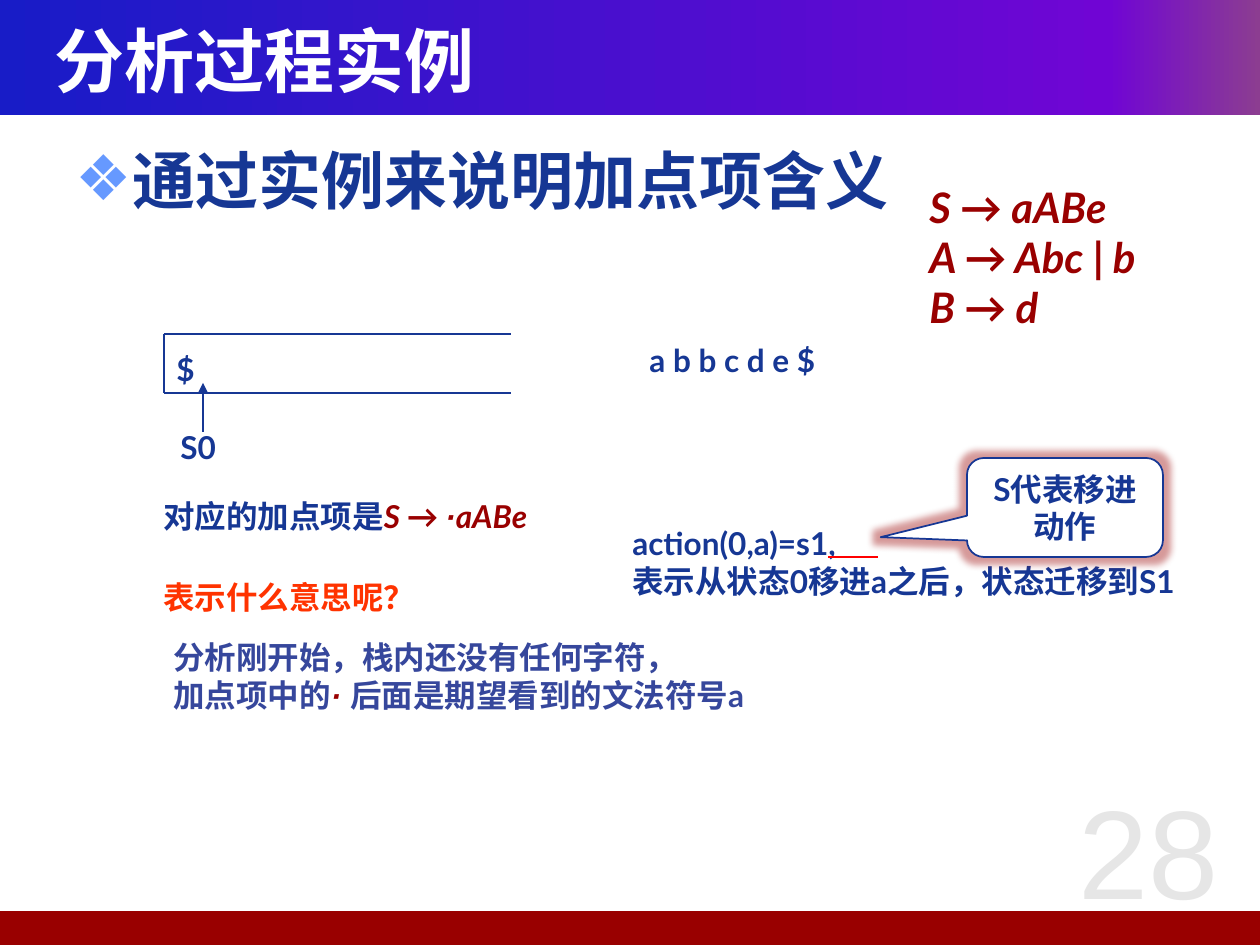
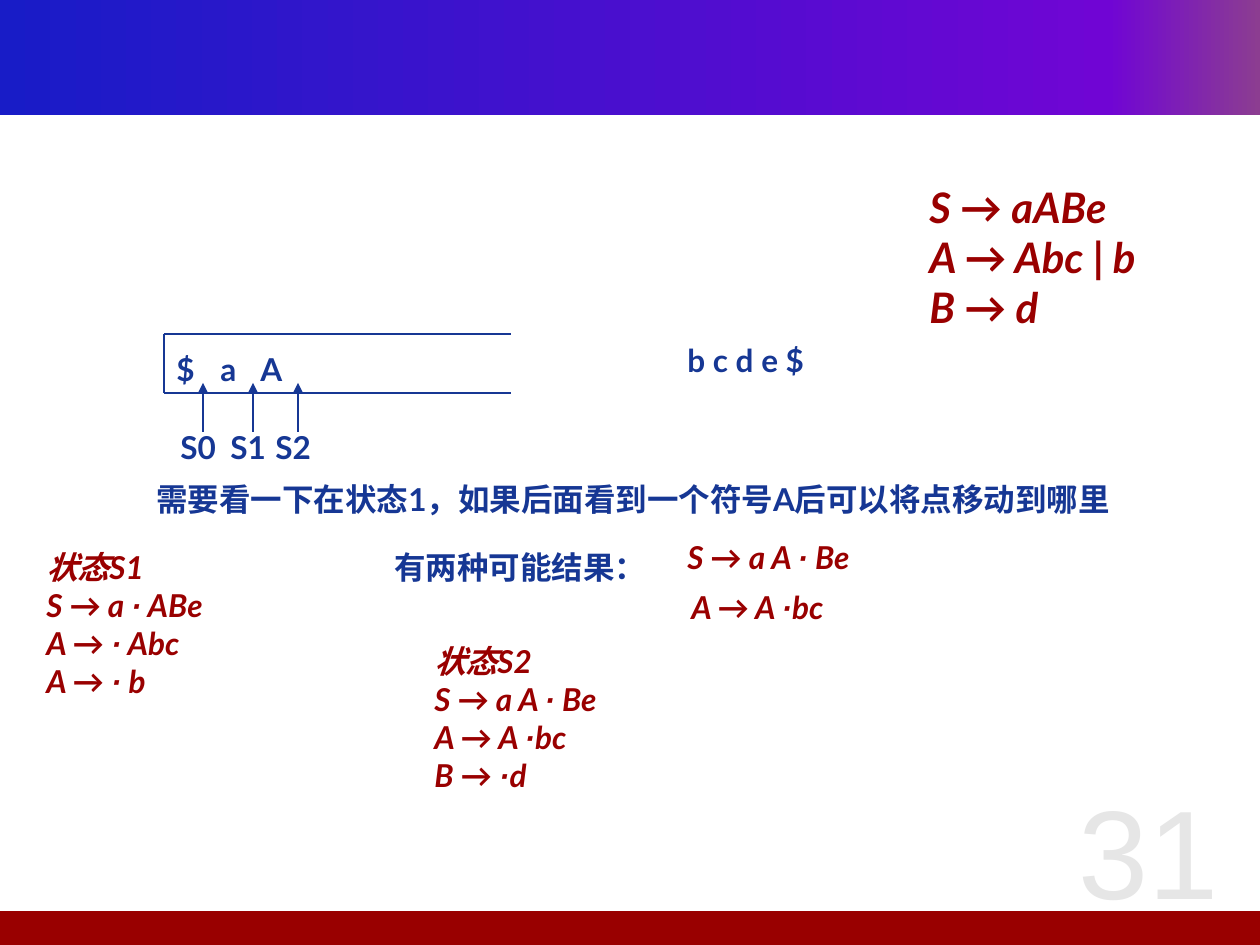
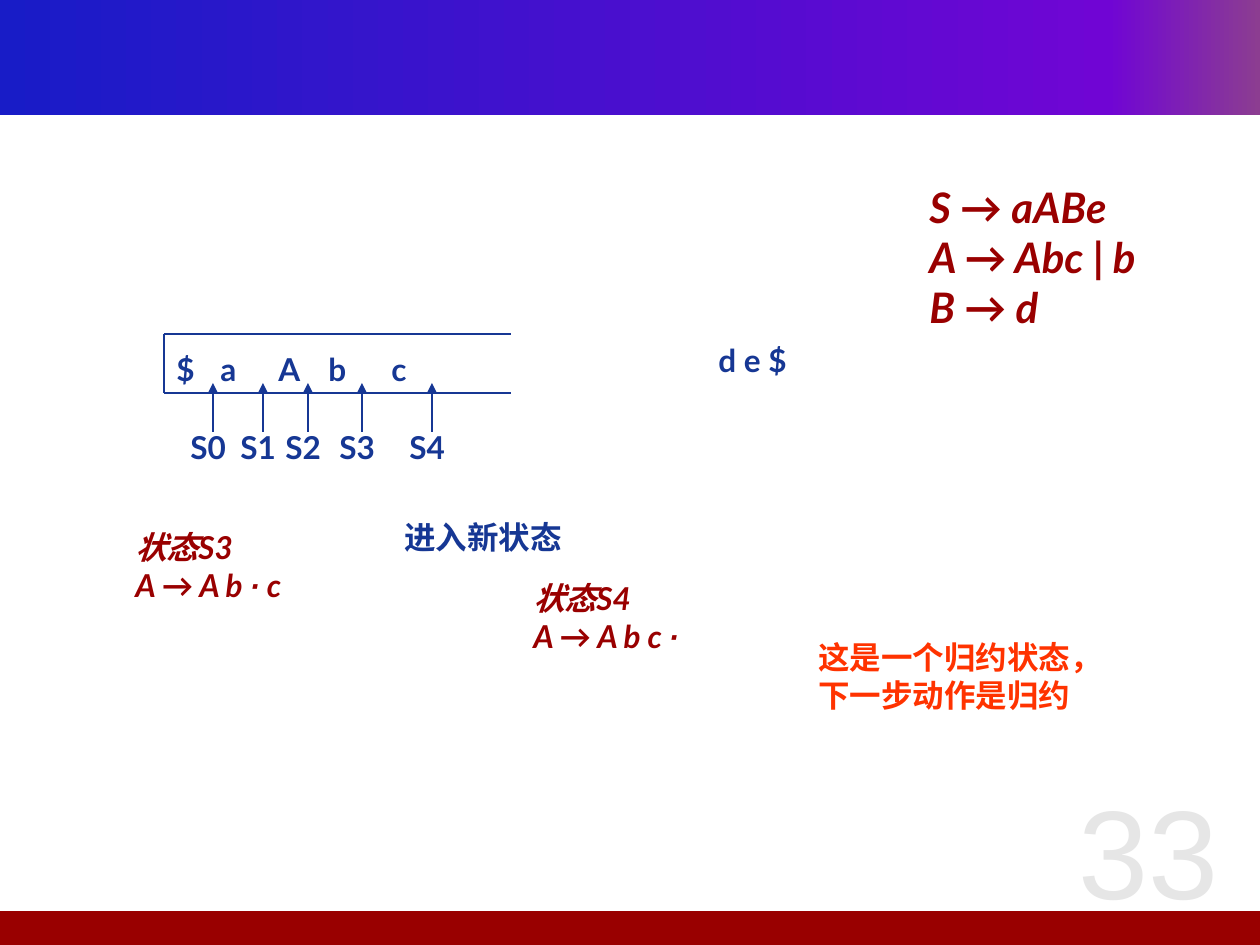
from copy import deepcopy

from lxml import etree
from pptx import Presentation
from pptx.dml.color import RGBColor
from pptx.enum.shapes import MSO_CONNECTOR, MSO_SHAPE
from pptx.enum.text import MSO_ANCHOR, MSO_AUTO_SIZE, PP_ALIGN
from pptx.oxml.ns import qn
from pptx.util import Emu, Pt

STRAIGHT = MSO_CONNECTOR.STRAIGHT
RECTANGLE = MSO_SHAPE.RECTANGLE
CALLOUT = MSO_SHAPE.ROUNDED_RECTANGULAR_CALLOUT
MIDDLE = MSO_ANCHOR.MIDDLE
LEFT, CENTER = PP_ALIGN.LEFT, PP_ALIGN.CENTER
FIT_SHAPE, NO_FIT = MSO_AUTO_SIZE.SHAPE_TO_FIT_TEXT, MSO_AUTO_SIZE.NONE

# Colours and fonts
NAVY = RGBColor(0x16, 0x37, 0x94)
SLATE = RGBColor(0x36, 0x47, 0x9C)
DARK_RED = RGBColor(0x99, 0x00, 0x00)
RED = RGBColor(0xFF, 0x00, 0x00)
ORANGE = RGBColor(0xFF, 0x33, 0x00)
SKY = RGBColor(0x66, 0x99, 0xFF)
WHITE = RGBColor(0xFF, 0xFF, 0xFF)
PALE_GREY = RGBColor(0xE6, 0xE6, 0xE6)
HEADER_STOPS = [
    (0, RGBColor(0x18, 0x1C, 0xC7)),
    (0.88, RGBColor(0x70, 0x05, 0xD4)),
    (1, RGBColor(0x8C, 0x3D, 0x91)),
]
LATIN, CJK, DOT_FONT = "Lato", "Noto Sans CJK SC", "Arial"

# Page and stack layout, in px
PX_PER_INCH = 126
PAGE_W, PAGE_H = 1260, 945
STACK_LEFT, STACK_RIGHT, STACK_TOP, STACK_BOTTOM = 164, 511, 334, 393
ARROW_START, ARROW_END = 432, 383
SYMBOL_TOP, STATE_TOP, INPUT_TOP = 344, 422, 335
STATE_OFFSET = 35
LINE_H = 50


def px(length):
    return Emu(round(length * 914400 / PX_PER_INCH))


def box(*lengths):
    return [px(length) for length in lengths]


# Text
def add_run(paragraph, text, *, size=18, font=LATIN, color=NAVY, bold=True, italic=False):
    run = paragraph.add_run()
    run.text = text
    run.font.size, run.font.bold, run.font.italic = Pt(size), bold, italic
    run.font.color.rgb = color
    run.font.name = font
    east_asian = etree.SubElement(run.font._element, qn("a:ea"))
    east_asian.set("typeface", CJK)


def write_lines(frame, lines, *, align=LEFT, **style):
    """Each line is a string or a list of (text, style changes) runs."""
    for index, line in enumerate(lines):
        paragraph = frame.add_paragraph() if index else frame.paragraphs[0]
        paragraph.alignment = align
        runs = [(line, {})] if isinstance(line, str) else line
        for text, changes in runs:
            add_run(paragraph, text, **{**style, **changes})


def add_text(slide, area, *lines, wrap=False, **style):
    textbox = slide.shapes.add_textbox(*box(*area))
    frame = textbox.text_frame
    frame.word_wrap = wrap
    frame.auto_size = FIT_SHAPE
    write_lines(frame, lines, **style)
    return textbox


def dotted(item, **changes):
    """Runs of a dotted item, with the dot in its own font."""
    before, after = item.split("·")
    runs = [(before, changes), ("·", {**changes, "font": DOT_FONT}), (after, changes)]
    return [run for run in runs if run[0]]


def add_items(slide, area, *lines, **style):
    runs = [dotted(line) if "·" in line else line for line in lines]
    add_text(slide, area, *runs, color=DARK_RED, italic=True, **style)


# Lines and shapes
def add_line(slide, x1, y1, x2, y2, color=NAVY, arrow=False):
    connector = slide.shapes.add_connector(STRAIGHT, *box(x1, y1, x2, y2))
    connector.line.color.rgb = color
    connector.line.width = Pt(1)
    if arrow:
        head = etree.SubElement(connector.line._get_or_add_ln(), qn("a:tailEnd"))
        head.set("type", "triangle")
    etree.SubElement(connector._element.spPr, qn("a:effectLst"))


def add_band(slide, top, height):
    band = slide.shapes.add_shape(RECTANGLE, *box(0, top, PAGE_W, height))
    band.shadow.inherit = False
    band.line.fill.background()
    return band


def add_master_bands(prs, slide):
    """Draw the header and footer bands and move them behind all slide content."""
    header = add_band(slide, 0, 115)
    header.fill.gradient()
    header.fill.gradient_angle = 0
    stop_list = header._element.spPr.find(".//" + qn("a:gsLst"))
    stop_list.append(deepcopy(stop_list[-1]))
    for stop, (position, color) in zip(header.fill.gradient_stops, HEADER_STOPS):
        stop.position = position
        stop.color.rgb = color

    footer = add_band(slide, 911, PAGE_H - 911)
    footer.fill.solid()
    footer.fill.fore_color.rgb = DARK_RED

    first_placeholder = prs.slide_master.shapes[0]._element
    for shape_id, band in enumerate((header, footer), start=101):
        band._element.nvSpPr.cNvPr.set("id", str(shape_id))
        first_placeholder.addprevious(band._element)


def add_callout(slide, area, text):
    callout = slide.shapes.add_shape(CALLOUT, *box(*area))
    for index, value in enumerate((-0.94, 0.3, 0.17)):
        callout.adjustments[index] = value
    callout.fill.solid()
    callout.fill.fore_color.rgb = WHITE
    callout.line.color.rgb = NAVY
    callout.line.width = Pt(1)
    callout.shadow.inherit = False
    # Soft red glow
    effects = callout._element.spPr.find(qn("a:effectLst"))
    glow = etree.SubElement(effects, qn("a:glow"), rad=str(Pt(8)))
    glow_color = etree.SubElement(glow, qn("a:srgbClr"), val=str(DARK_RED))
    etree.SubElement(glow_color, qn("a:alpha"), val="40000")
    callout.text_frame.word_wrap = True
    callout.text_frame.vertical_anchor = MIDDLE
    write_lines(callout.text_frame, [text], align=CENTER)


# Placeholders
def place(placeholder, area):
    placeholder.left, placeholder.top, placeholder.width, placeholder.height = box(*area)
    placeholder.text_frame.auto_size = NO_FIT
    return placeholder.text_frame


def fill_title(slide, text):
    frame = place(slide.shapes.title, (42, 21, 1166, 78))
    frame.vertical_anchor = MIDDLE
    write_lines(frame, [text], size=40, font=CJK, color=WHITE)


def fill_body(slide, text):
    frame = place(slide.placeholders[1], (63, 135, 1134, 723))
    properties = frame.paragraphs[0]._p.get_or_add_pPr()
    properties.set("marL", str(px(48)))
    properties.set("indent", str(-px(48)))
    bullet_color = etree.SubElement(properties, qn("a:buClr"))
    etree.SubElement(bullet_color, qn("a:srgbClr"), val=str(SKY))
    etree.SubElement(properties, qn("a:buChar"), char="❖")
    frame.paragraphs[0].space_before = Pt(0)
    write_lines(frame, [text], size=36, font=CJK)


# Parts found on every slide
def add_page_number(slide, number):
    textbox = add_text(slide, (1037, 760, 223, 179), str(number), wrap=True, align=CENTER,
                       size=72, font=DOT_FONT, color=PALE_GREY, bold=False)
    textbox.text_frame.auto_size = NO_FIT
    textbox.text_frame.vertical_anchor = MIDDLE


def add_grammar(slide):
    alternatives = [("A → Abc ", {}), ("|", {"italic": False}), (" b", {})]
    add_text(slide, (917, 175, 277, 165), "S → aABe", alternatives, "B → d",
             size=24, color=DARK_RED, italic=True)


def add_stack(slide, symbols, arrow_xs):
    """Open-ended stack, its symbols by left edge, and one arrow per state."""
    for y in (STACK_TOP, STACK_BOTTOM):
        add_line(slide, STACK_LEFT, y, STACK_RIGHT, y)
    add_line(slide, STACK_LEFT, STACK_TOP, STACK_LEFT, STACK_BOTTOM)
    for symbol, left in [("$", STACK_LEFT), *symbols]:
        add_text(slide, (left, SYMBOL_TOP, 45, LINE_H), symbol)
    for state, x in enumerate(arrow_xs):
        add_text(slide, (x - STATE_OFFSET, STATE_TOP, 65, LINE_H), f"S{state}")
        add_line(slide, x, ARROW_START, x, ARROW_END, arrow=True)


def add_parse_state(slide, number, symbols, arrow_xs, remaining, input_left, input_width):
    add_page_number(slide, number)
    add_stack(slide, symbols, arrow_xs)
    add_grammar(slide)
    add_text(slide, (input_left, INPUT_TOP, input_width, LINE_H), remaining)


# Slides
def build_start(slide):
    fill_title(slide, "分析过程实例")
    fill_body(slide, "通过实例来说明加点项含义")
    add_parse_state(slide, 28, [], [203], "a b b c d e $", 637, 193)

    red_italic = {"color": DARK_RED, "italic": True}
    add_text(slide, (151, 491, 427, LINE_H),
             [("对应的加点项是", {}), *dotted("S → ·aABe", **red_italic)])
    add_text(slide, (151, 572, 280, LINE_H), "表示什么意思呢？", color=ORANGE)
    add_text(slide, (161, 632, 604, 88), "分析刚开始，栈内还没有任何字符，",
             [("加点项中的", {}), ("· ", {**red_italic, "font": DOT_FONT}),
              ("后面是期望看到的文法符号a", {})],
             wrap=True, color=SLATE)
    add_text(slide, (620, 518, 595, 88), "action(0,a)=s1,",
             "表示从状态0移进a之后，状态迁移到S1", wrap=True)
    add_line(slide, 878, 557, 828, 557, color=RED)
    add_callout(slide, (967, 458, 196, 99), "S代表移进动作")


def build_after_a(slide):
    add_parse_state(slide, 31, [("a", 208), ("A", 248)], [203, 253, 298],
                    "b c d e $", 675, 142)
    add_text(slide, (144, 474, 1032, LINE_H),
             "需要看一下在状态1，如果后面看到一个符号A后可以将点移动到哪里", wrap=True)
    add_text(slide, (382, 542, 280, LINE_H), "有两种可能结果：")
    add_items(slide, (675, 532, 214, LINE_H), "S → a A · Be")
    add_items(slide, (679, 582, 174, LINE_H), "A → A ·bc")
    add_items(slide, (34, 542, 218, 164), "状态S1", "S → a · ABe", "A → · Abc", "A → · b",
              wrap=True)
    add_items(slide, (422, 636, 218, 164), "状态S2", "S → a A · Be", "A → A ·bc", "B → ·d",
              wrap=True)


def build_after_c(slide):
    add_parse_state(slide, 33, [("a", 208), ("A", 266), ("b", 316), ("c", 379)],
                    [213, 263, 308, 362, 432], "d e $", 706, 94)
    add_text(slide, (392, 512, 208, LINE_H), "进入新状态", wrap=True)
    add_items(slide, (123, 522, 218, 88), "状态S3", "A → A b · c", wrap=True)
    add_items(slide, (521, 573, 218, 88), "状态S4", "A → A b c ·", wrap=True)
    add_text(slide, (806, 632, 330, 88), "这是一个归约状态，", "下一步动作是归约",
             wrap=True, color=ORANGE)


def main():
    prs = Presentation()
    prs.slide_width, prs.slide_height = px(PAGE_W), px(PAGE_H)
    content_layout, blank_layout = prs.slide_layouts[1], prs.slide_layouts[6]

    start = prs.slides.add_slide(content_layout)
    add_master_bands(prs, start)
    build_start(start)
    build_after_a(prs.slides.add_slide(blank_layout))
    build_after_c(prs.slides.add_slide(blank_layout))
    prs.save("out.pptx")


if __name__ == "__main__":
    main()
